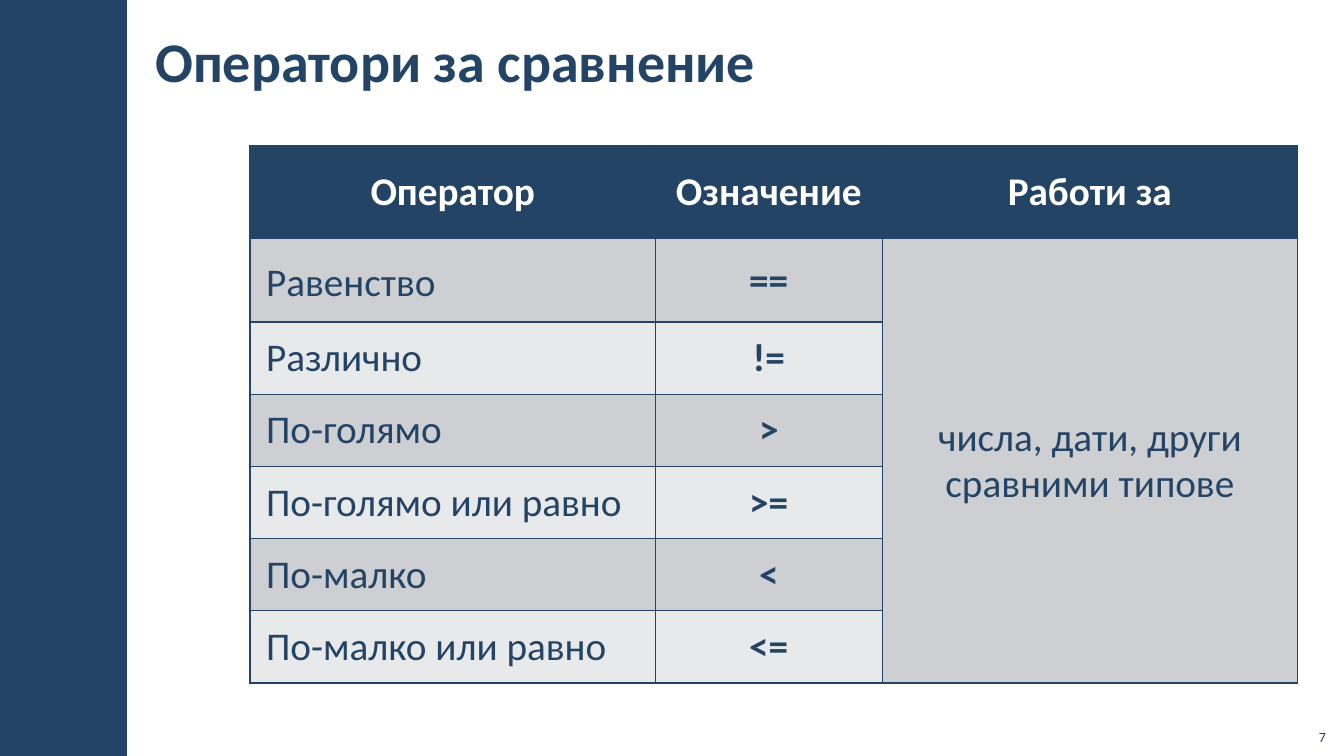
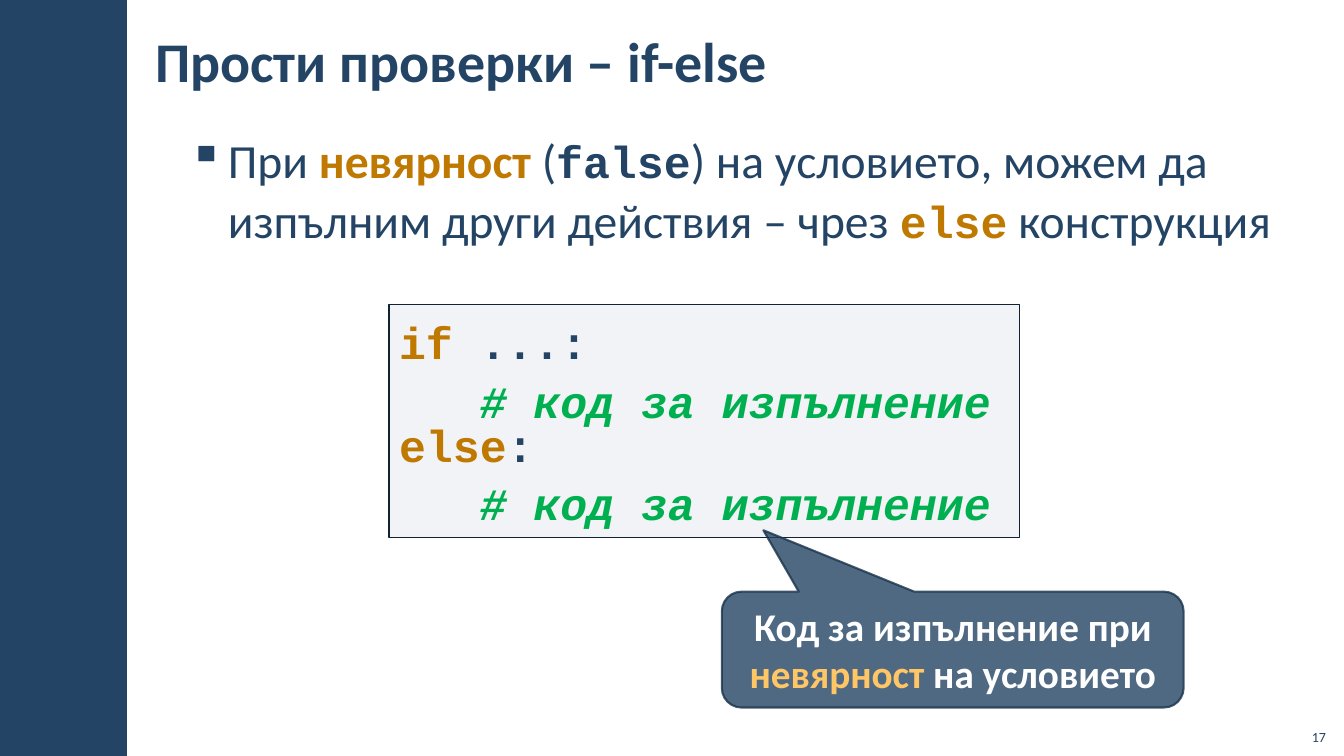
from dataclasses import dataclass

from lxml import etree
from pptx import Presentation
from pptx import util as u
from pptx.dml.color import RGBColor
from pptx.enum import shapes, text
from pptx.oxml.ns import qn


@dataclass(frozen=True)
class Theme:
    navy: str = "234465"
    white: str = "FFFFFF"
    amber: str = "BF7800"
    gold: str = "FFC666"
    green: str = "00B050"
    ink: str = "112233"
    edge: str = "1A334C"
    code_fill: str = "ADB4C3"
    stripes: tuple = ("CDCFD3", "E8E9EA")
    sans: str = "Calibri"
    mono: str = "Courier New"
    title: int = 40
    body: int = 34
    code: int = 32
    label: int = 28
    number: int = 10


T = Theme()
W, H = u.Inches(13.33), u.Inches(7.5)
ALIGN, ANCHOR = text.PP_ALIGN, text.MSO_ANCHOR
TIGHT = (0.12, 0.04)


# Lengths are percentages of the slide's width and height
def across(share):
    return round(W * share / 100)


def down(share):
    return round(H * share / 100)


def box(left, top, width, height):
    return across(left), down(top), across(width), down(height)


# Text
def run(txt, size, color=T.navy, bold=False, italic=False, font=T.sans):
    return txt, size, color, bold, italic, font


def code(txt, color=T.navy, italic=False):
    return run(txt, T.code, color, True, italic, T.mono)


def add_runs(p, runs, align=ALIGN.LEFT, spacing=None):
    p.alignment = align
    if spacing:
        p.line_spacing = spacing
    for txt, size, color, bold, italic, font in runs:
        r = p.add_run()
        r.text = txt
        r.font.size, r.font.name = u.Pt(size), font
        r.font.bold, r.font.italic = bold, italic
        r.font.color.rgb = RGBColor.from_string(color)


def set_frame(tf, anchor=ANCHOR.TOP, insets=(0.1, 0.05)):
    tf.word_wrap = True
    tf.vertical_anchor = anchor
    tf.margin_left = tf.margin_right = u.Inches(insets[0])
    tf.margin_top = tf.margin_bottom = u.Inches(insets[1])


def add_text(s, place, runs, align=ALIGN.LEFT, spacing=None, **frame):
    tf = s.shapes.add_textbox(*place).text_frame
    set_frame(tf, **frame)
    add_runs(tf.paragraphs[0], runs, align, spacing)
    return tf.paragraphs[0]


def add_bullet(s, place, runs):
    p = add_text(s, place, runs, spacing=1.05, insets=TIGHT)
    pPr = p._p.get_or_add_pPr()
    indent = u.Inches(0.39)
    pPr.set("marL", str(indent))
    pPr.set("indent", str(-indent))
    etree.SubElement(pPr, qn("a:buChar")).set("char", "▪")


# Shapes
def set_alpha(sp, query, percent):
    for clr in sp.element.spPr.xpath(query):
        etree.SubElement(clr, qn("a:alpha")).set("val", str(percent * 1000))


def add_box(s, kind, place, fill, alpha=100, line=None, line_width=1, line_alpha=100):
    sp = s.shapes.add_shape(kind, *place)
    sp.shadow.inherit = False
    sp.fill.solid()
    sp.fill.fore_color.rgb = RGBColor.from_string(fill)
    if alpha < 100:
        set_alpha(sp, "./a:solidFill/a:srgbClr", alpha)
    if line is None:
        sp.line.fill.background()
        return sp
    sp.line.color.rgb = RGBColor.from_string(line)
    sp.line.width = u.Pt(line_width)
    if line_alpha < 100:
        set_alpha(sp, "./a:ln/a:solidFill/a:srgbClr", line_alpha)
    return sp


def add_code(s, place, lines):
    sp = add_box(s, shapes.MSO_SHAPE.RECTANGLE, place, T.code_fill, 15, T.ink)
    tf = sp.text_frame
    set_frame(tf)
    for i, (runs, spacing) in enumerate(lines):
        p = tf.add_paragraph() if i else tf.paragraphs[0]
        add_runs(p, runs, spacing=spacing)


def add_callout(s, place, runs, adjustments):
    sp = add_box(s, shapes.MSO_SHAPE.ROUNDED_RECTANGULAR_CALLOUT, place,
                 T.navy, 80, T.edge, 1.5, 80)
    for i, value in enumerate(adjustments):
        sp.adjustments[i] = value
    set_frame(sp.text_frame, ANCHOR.MIDDLE)
    add_runs(sp.text_frame.paragraphs[0], runs, ALIGN.CENTER)


# Table
def style_cell(cell, fill):
    tcPr = cell._tc.get_or_add_tcPr()
    for side in ("lnL", "lnR", "lnT", "lnB"):
        ln = etree.SubElement(tcPr, qn(f"a:{side}"), w=str(u.Pt(1)))
        solid = etree.SubElement(ln, qn("a:solidFill"))
        etree.SubElement(solid, qn("a:srgbClr"), val=T.navy)
    cell.fill.solid()
    cell.fill.fore_color.rgb = RGBColor.from_string(fill)
    cell.vertical_anchor = ANCHOR.MIDDLE
    cell.margin_left = cell.margin_right = u.Inches(0.16)
    cell.margin_top = cell.margin_bottom = u.Inches(0.05)


def add_operator_table(s, left, top, widths, heights, header, rows, scope):
    place = box(left, top, sum(widths), sum(heights))
    tbl = s.shapes.add_table(len(heights), len(widths), *place).table
    for col, width in zip(tbl.columns, widths):
        col.width = across(width)
    for row, height in zip(tbl.rows, heights):
        row.height = down(height)
    last = len(widths) - 1
    for i in range(len(heights)):
        for j in range(len(widths)):
            stripe = T.stripes[0 if j == last else (i - 1) % 2]
            style_cell(tbl.cell(i, j), stripe if i else T.navy)
    tbl.cell(1, last).merge(tbl.cell(len(rows), last))

    def write(i, j, txt, align=ALIGN.CENTER, spacing=0.95, **style):
        p = tbl.cell(i, j).text_frame.paragraphs[0]
        add_runs(p, [run(txt, T.label, **style)], align, spacing)

    for j, txt in enumerate(header):
        write(0, j, txt, color=T.white, bold=True)
    for i, (name, sign) in enumerate(rows, 1):
        write(i, 0, name, ALIGN.LEFT, u.Pt(38) if i == 1 else 0.95)
        write(i, 1, sign, bold=True)
    write(1, last, scope)


# Parts that every slide shares
def new_slide(prs, title, number):
    s = prs.slides.add_slide(prs.slide_layouts[6])
    add_box(s, shapes.MSO_SHAPE.RECTANGLE, box(0, 0, 9.45, 100), T.navy)
    add_text(s, box(10.65, 1.47, 75.17, 12.93), [run(title, T.title, bold=True)],
             anchor=ANCHOR.MIDDLE, insets=TIGHT)
    add_text(s, box(96.4, 94.93, 3, 4.27), [run(str(number), T.number)],
             ALIGN.RIGHT, anchor=ANCHOR.BOTTOM)
    return s


def comparison_slide(prs):
    s = new_slide(prs, "Оператори за сравнение", 7)
    add_operator_table(
        s, 18.6, 19.2,
        widths=[30.16, 16.88, 30.9],
        heights=[12.4, 11] + [9.55] * 5,
        header=["Оператор", "Означение", "Работи за"],
        rows=[("Равенство", "=="), ("Различно", "!="), ("По-голямо", ">"),
              ("По-голямо или равно", ">="), ("По-малко", "<"),
              ("По-малко или равно", "<=")],
        scope="числа, дати, други сравними типове")


def if_else_slide(prs):
    s = new_slide(prs, "Прости проверки – if-else", 17)
    add_bullet(s, box(13.13, 16.4, 86.42, 80.93), [
        run("При ", T.body),
        run("невярност ", T.body, T.amber, True),
        run("(", T.body),
        code("false"),
        run(") на условието, можем да изпълним други действия – чрез ", T.body),
        code("еlse", T.amber),
        run(" конструкция", T.body)])
    comment = ([code("   # код за изпълнение", T.green, italic=True)], 1.1)
    add_code(s, box(28.96, 40.27, 46.89, 30.8), [
        ([code("if", T.amber), code(" ...:")], 1.1),
        comment,
        ([code("else", T.amber), code(":")], 0.8),
        comment])
    add_callout(s, box(53.71, 78.27, 34.36, 15.33), [
        run("Код за изпълнение при ", T.label, T.white, True),
        run("невярност", T.label, T.gold, True),
        run(" на условието", T.label, T.white, True)],
        adjustments=(-0.41, -1.03, 0.17))


def main():
    prs = Presentation()
    prs.slide_width, prs.slide_height = W, H
    comparison_slide(prs)
    if_else_slide(prs)
    prs.save("out.pptx")


if __name__ == "__main__":
    main()
